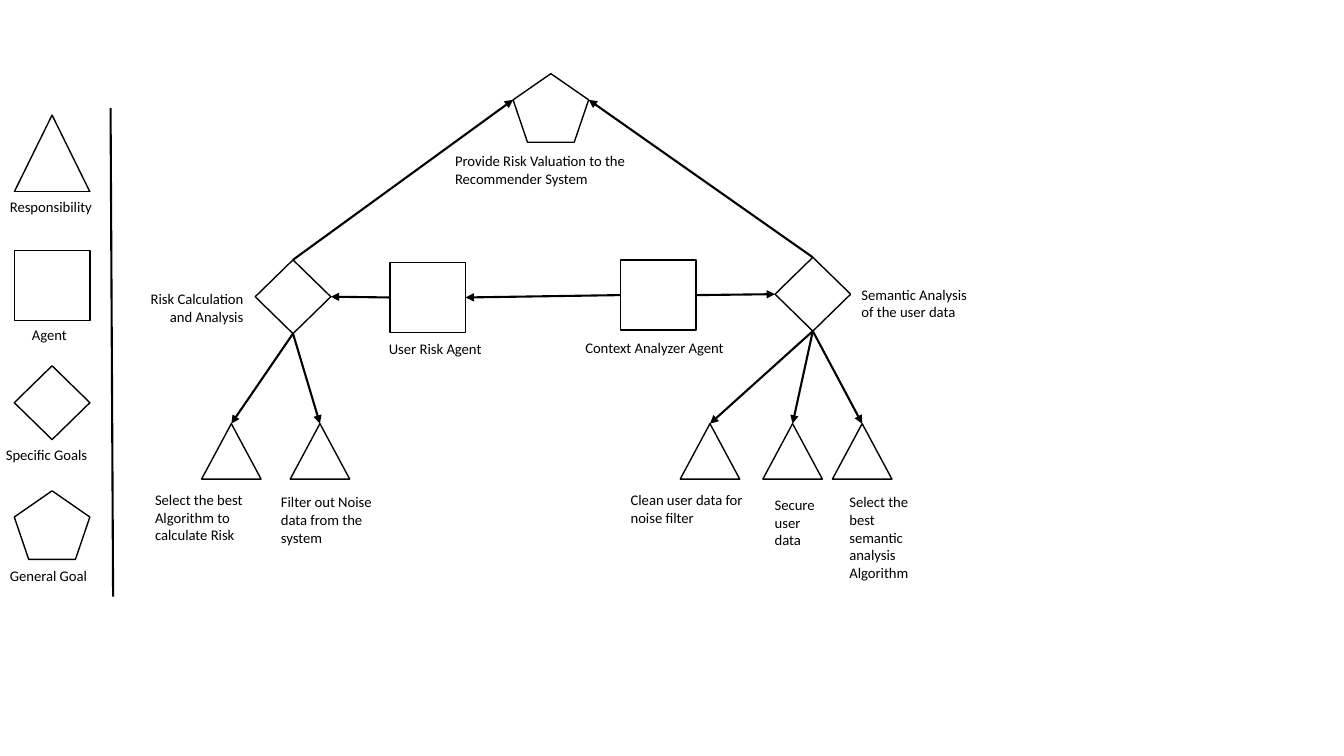
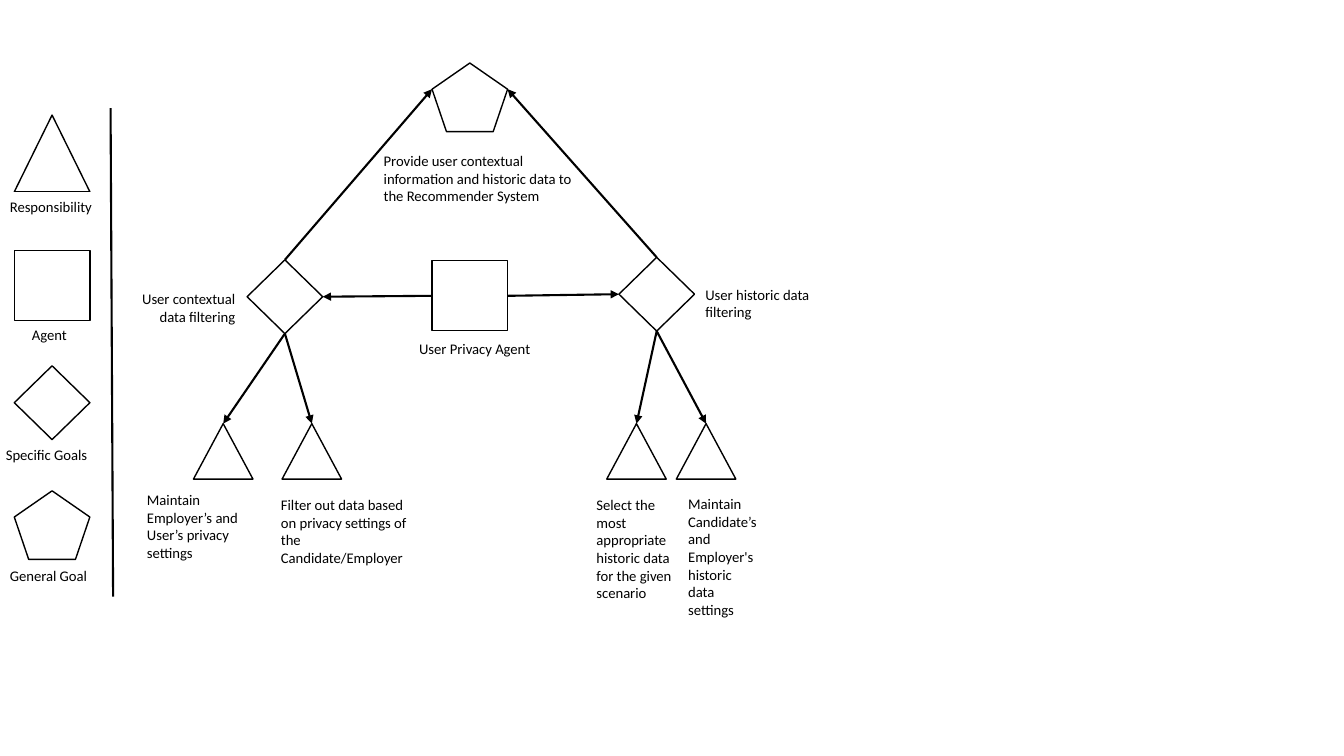
"""Build two goal diagrams that share one legend."""
from collections import namedtuple

from lxml import etree
from pptx import Presentation
from pptx.dml.color import RGBColor
from pptx.enum import shapes, text
from pptx.oxml import ns
from pptx.util import Pt

BLACK = RGBColor(0x00, 0x00, 0x00)
WHITE = RGBColor(0xFF, 0xFF, 0xFF)

LEFT, CENTER, RIGHT = text.PP_ALIGN.LEFT, text.PP_ALIGN.CENTER, text.PP_ALIGN.RIGHT
FONT = {"name": "Calibri", "size": Pt(10.5)}
FRAME = {
    "word_wrap": True,
    "auto_size": text.MSO_AUTO_SIZE.SHAPE_TO_FIT_TEXT,
    "vertical_anchor": text.MSO_ANCHOR.TOP,
}
LINE_HEIGHT, TEXT_MARGIN = 12.75, 7.3

RESPONSIBILITY = shapes.MSO_SHAPE.ISOSCELES_TRIANGLE
AGENT = shapes.MSO_SHAPE.RECTANGLE
SPECIFIC_GOAL = shapes.MSO_SHAPE.FLOWCHART_DECISION
GENERAL_GOAL = shapes.MSO_SHAPE.REGULAR_PENTAGON
SIZES = {
    RESPONSIBILITY: (42.5, 39.6),
    AGENT: (54, 50),
    SPECIFIC_GOAL: (54, 52.7),
    GENERAL_GOAL: (54, 49),
}
TOP_SITE, LEFT_SITE, BOTTOM_SITE, RIGHT_SITE = range(4)
PENTAGON_SHOULDER = 0.382
TASK_DROP = 117

Caption = namedtuple("Caption", "x y width lines words align", defaults=(LEFT,))
Node = namedtuple("Node", "x y caption")
Task = namedtuple("Task", "dx caption")
Wing = namedtuple("Wing", "x y caption tasks")
Diagram = namedtuple("Diagram", "root agents left right")

LEGEND = [
    (RESPONSIBILITY, 82.2, (54, 54.8), Caption(0, 137.5, 76.3, 1, "Responsibility")),
    (AGENT, 179, SIZES[AGENT], Caption(-6.5, 229.5, 83.5, 1, "Agent", CENTER)),
    (SPECIFIC_GOAL, 261.3, SIZES[SPECIFIC_GOAL],
     Caption(-2.9, 315.2, 76.3, 1, "Specific Goals")),
    (GENERAL_GOAL, 350.6, SIZES[GENERAL_GOAL],
     Caption(0, 401.6, 76.3, 1, "General Goal")),
]

RISK = Diagram(
    root=Node(366.5, 52.6, Caption(
        318, 105, 158.4, 2, "Provide Risk Valuation to the Recommender System")),
    agents=[
        Node(278.6, 187.5, Caption(270.7, 239, 158.4, 1, "User Risk Agent")),
        Node(443.2, 185.8, Caption(411, 238.2, 158.4, 1, "Context Analyzer Agent")),
    ],
    left=Wing(182.3, 185.6, Caption(
        -86.4, 18, 85, 2, "Risk Calculation and Analysis", RIGHT), [
        Task(-38.3, Caption(
            -40.3, 5, 96.5, 3, "Select the best Algorithm to calculate Risk")),
        Task(25, Caption(-13.7, 6.5, 96.5, 3, "Filter out Noise data from the system")),
    ]),
    right=Wing(553.6, 183.8, Caption(
        54.7, 16.5, 96.5, 2, "Semantic Analysis of the user data"), [
        Task(-67.7, Caption(-42.5, 5, 96.5, 2, "Clean user data for noise filter")),
        Task(-8.7, Caption(1.4, 8.6, 53.3, 3, "Secure user data")),
        Task(41, Caption(
            5, 6.5, 65.5, 5, "Select the best semantic analysis Algorithm")),
    ]),
)

PRIVACY = Diagram(
    root=Node(308.6, 45, Caption(
        267, 105, 158.4, 3,
        "Provide user contextual information and historic data to the "
        "Recommender System")),
    agents=[Node(308.6, 186.3, Caption(292.3, 239, 103, 1, "User Privacy Agent"))],
    left=Wing(176.5, 185.6, Caption(
        -86.4, 18, 85, 2, "User contextual data filtering", RIGHT), [
        Task(-38.3, Caption(
            -40.3, 5, 96.5, 4, "Maintain Employer’s and User’s privacy settings")),
        Task(25, Caption(
            -7.9, 8.6, 104.4, 4,
            "Filter out data based on privacy settings of the Candidate/Employer")),
    ]),
    right=Wing(442.1, 183.8, Caption(
        54.7, 16.5, 96.5, 2, "User historic data filtering"), [
        Task(-8.7, Caption(
            -14.4, 8.6, 69.1, 6,
            "Select the most appropriate historic data for the given scenario")),
        Task(41, Caption(
            1.4, 7.9, 65.5, 7,
            "Maintain Candidate’s and Employer's historic data settings")),
    ]),
)


def add_symbol(slide, kind, x, y, size=None):
    """Draw one outlined symbol and return it."""
    width, height = size or SIZES[kind]
    symbol = slide.shapes.add_shape(kind, Pt(x), Pt(y), Pt(width), Pt(height))
    symbol.shadow.inherit = False
    symbol.fill.solid()
    symbol.fill.fore_color.rgb = WHITE
    symbol.line.color.rgb = BLACK
    symbol.line.width = Pt(1)
    return symbol


def add_caption(slide, caption, x=0, y=0):
    """Write a caption offset from the point (x, y)."""
    height = caption.lines * LINE_HEIGHT + TEXT_MARGIN
    label = slide.shapes.add_textbox(
        Pt(x + caption.x), Pt(y + caption.y), Pt(caption.width), Pt(height))
    label.line.color.rgb = WHITE
    label.line.width = Pt(0.75)
    for key, value in FRAME.items():
        setattr(label.text_frame, key, value)
    paragraph = label.text_frame.paragraphs[0]
    paragraph.alignment = caption.align
    run = paragraph.add_run()
    run.text = caption.words
    for key, value in FONT.items():
        setattr(run.font, key, value)
    run.font.color.rgb = BLACK


def add_line(slide, start, end, arrow=True):
    """Draw a straight line between two points, with an arrowhead at the end."""
    line = slide.shapes.add_connector(shapes.MSO_CONNECTOR.STRAIGHT, *start, *end)
    line.line.color.rgb = BLACK
    line.line.width = Pt(1.5)
    if arrow:
        etree.SubElement(line.line._get_or_add_ln(), ns.qn("a:tailEnd"), type="triangle")
    etree.SubElement(line._element.spPr, ns.qn("a:effectLst"))
    return line


def link(slide, source, source_site, target, target_site):
    """Join two symbols with an arrow glued to both."""
    arrow = add_line(slide, (0, 0), (0, 0))
    arrow.begin_connect(source, source_site)
    arrow.end_connect(target, target_site)


def add_legend(slide, x=10.2):
    """Draw the key to the symbols and the rule beside it."""
    add_line(slide, (Pt(79), Pt(77.2)), (Pt(80.8), Pt(426.2)), arrow=False)
    for kind, y, size, caption in LEGEND:
        add_symbol(slide, kind, x, y, size)
        add_caption(slide, caption)


def add_wing(slide, wing, root, on_left):
    """Draw a specific goal with its responsibilities and its arrow to the root."""
    goal = add_symbol(slide, SPECIFIC_GOAL, wing.x, wing.y)
    add_caption(slide, wing.caption, wing.x, wing.y)
    shoulder = (root.left if on_left else root.left + root.width,
                root.top + int(root.height * PENTAGON_SHOULDER))
    rise = add_line(slide, (0, 0), shoulder)
    rise.begin_connect(goal, TOP_SITE)
    for task in wing.tasks:
        x, y = wing.x + task.dx, 302.6
        duty = add_symbol(slide, RESPONSIBILITY, x, y)
        link(slide, goal, BOTTOM_SITE, duty, TOP_SITE)
        add_caption(slide, task.caption, x, y + SIZES[RESPONSIBILITY][1])
    return goal


def add_diagram(slide, diagram):
    """Draw the general goal, the agents and both wings, then link the agents."""
    root = add_symbol(slide, GENERAL_GOAL, diagram.root.x, diagram.root.y)
    add_caption(slide, diagram.root.caption)
    agents = []
    for node in diagram.agents:
        agents.append(add_symbol(slide, AGENT, node.x, node.y))
        add_caption(slide, node.caption)
    left_goal = add_wing(slide, diagram.left, root, on_left=True)
    right_goal = add_wing(slide, diagram.right, root, on_left=False)
    for target, source in zip([left_goal] + agents, agents):
        link(slide, source, LEFT_SITE, target, RIGHT_SITE)
    link(slide, agents[-1], RIGHT_SITE, right_goal, LEFT_SITE)


def main():
    """Build the presentation."""
    deck = Presentation()
    deck.slide_width, deck.slide_height = Pt(960), Pt(540)
    for diagram in (RISK, PRIVACY):
        slide = deck.slides.add_slide(deck.slide_layouts[6])
        add_legend(slide)
        add_diagram(slide, diagram)
    deck.save("out.pptx")


main()
